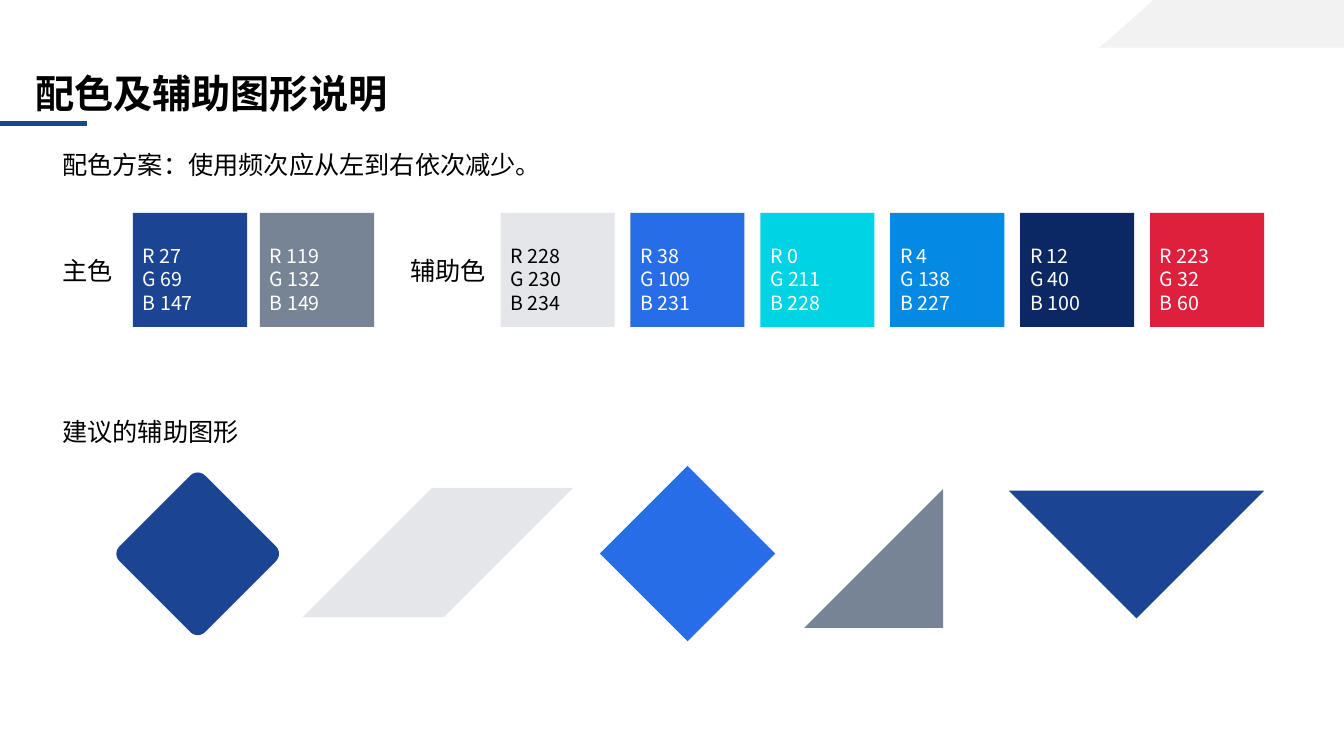
import pptx
import pptx.dml.color
import pptx.enum.shapes
import pptx.enum.text
import pptx.util

Pt = pptx.util.Pt
RGBColor = pptx.dml.color.RGBColor
SHAPE = pptx.enum.shapes.MSO_SHAPE
ANCHOR = pptx.enum.text.MSO_ANCHOR

NAVY = RGBColor(27, 69, 147)
SLATE = RGBColor(119, 132, 149)
MIST = RGBColor(228, 230, 234)
BLUE = RGBColor(38, 109, 231)
CYAN = RGBColor(0, 211, 228)
AZURE = RGBColor(4, 138, 227)
MIDNIGHT = RGBColor(12, 40, 100)
RED = RGBColor(223, 32, 60)
PALE = RGBColor(242, 242, 242)
BLACK = RGBColor(0, 0, 0)
WHITE = RGBColor(255, 255, 255)


class Painter:
    font = "Noto Sans CJK SC"
    line_ratio = 1.2
    swatch_side = 81.5

    def __init__(self, page):
        self.page = page

    def paint(self, shape, color):
        shape.shadow.inherit = False
        shape.fill.solid()
        shape.fill.fore_color.rgb = color
        shape.line.fill.background()

    def shape(self, kind, left, top, width, height, color, turn=0, corner=None):
        shape = self.page.shapes.add_shape(kind, Pt(left), Pt(top), Pt(width), Pt(height))
        self.paint(shape, color)
        shape.rotation = turn
        if corner is not None:
            shape.adjustments[0] = corner

    def outline(self, points, color):
        corners = [(Pt(x), Pt(y)) for x, y in points]
        builder = self.page.shapes.build_freeform(*corners[0], scale=1.0)
        builder.add_line_segments(corners[1:], close=True)
        self.paint(builder.convert_to_shape(), color)

    def text(self, words, left, top, width, height, size=18, color=BLACK,
             bold=False, anchor=ANCHOR.TOP):
        box = self.page.shapes.add_textbox(Pt(left), Pt(top), Pt(width), Pt(height))
        frame = box.text_frame
        frame.word_wrap = True
        frame.vertical_anchor = anchor
        frame.text = words
        for para in frame.paragraphs:
            para.line_spacing = Pt(size * self.line_ratio)
            for span in para.runs:
                span.font.name = self.font
                span.font.size = Pt(size)
                span.font.bold = bold
                span.font.color.rgb = color

    def swatch(self, left, color):
        self.shape(SHAPE.RECTANGLE, left, 152, self.swatch_side, self.swatch_side, color)
        values = "\n".join(f"{name} {value}" for name, value in zip("RGB", color))
        ink = BLACK if color == MIST else WHITE
        self.text(values, left, 170.5, 58, 58, size=14, color=ink)


def main():
    deck = pptx.Presentation()
    deck.slide_width, deck.slide_height = Pt(960), Pt(540)
    painter = Painter(deck.slides.add_slide(deck.slide_layouts[6]))

    # Title with its accent bar and the corner band
    painter.shape(SHAPE.RECTANGLE, 0, 86.5, 62, 3.5, NAVY)
    painter.outline([(824, 0), (960, 0), (960, 34), (785.5, 34)], PALE)
    painter.text("配色及辅助图形说明", 18, 45, 903, 42, size=28, bold=True,
                 anchor=ANCHOR.BOTTOM)

    # Headings and labels
    painter.text("配色方案：使用频次应从左到右依次减少。", 37.5, 103, 490, 29)
    painter.text("主色", 37.5, 179, 58, 29)
    painter.text("辅助色", 286, 179, 70, 29)
    painter.text("建议的辅助图形", 37.5, 293.5, 233, 29)

    # Main and supporting colours
    for index, color in enumerate([NAVY, SLATE]):
        painter.swatch(95 + 90.7 * index, color)
    for index, color in enumerate([MIST, BLUE, CYAN, AZURE, MIDNIGHT, RED]):
        painter.swatch(357.5 + 92.8 * index, color)

    # Suggested supporting shapes
    painter.shape(SHAPE.ROUNDED_RECTANGLE, 98, 352.3, 86.5, 86.5, NAVY, turn=315, corner=0.086)
    painter.shape(SHAPE.PARALLELOGRAM, 216.3, 348.5, 193, 92.3, MIST, corner=1)
    painter.shape(SHAPE.DIAMOND, 428.5, 332.8, 125.3, 125.3, BLUE)
    painter.shape(SHAPE.RIGHT_TRIANGLE, 574.5, 349.2, 99.2, 99.2, SLATE, turn=270)
    painter.shape(SHAPE.RIGHT_TRIANGLE, 747.3, 286, 129, 129, NAVY, turn=315)

    deck.save("out.pptx")


if __name__ == "__main__":
    main()
